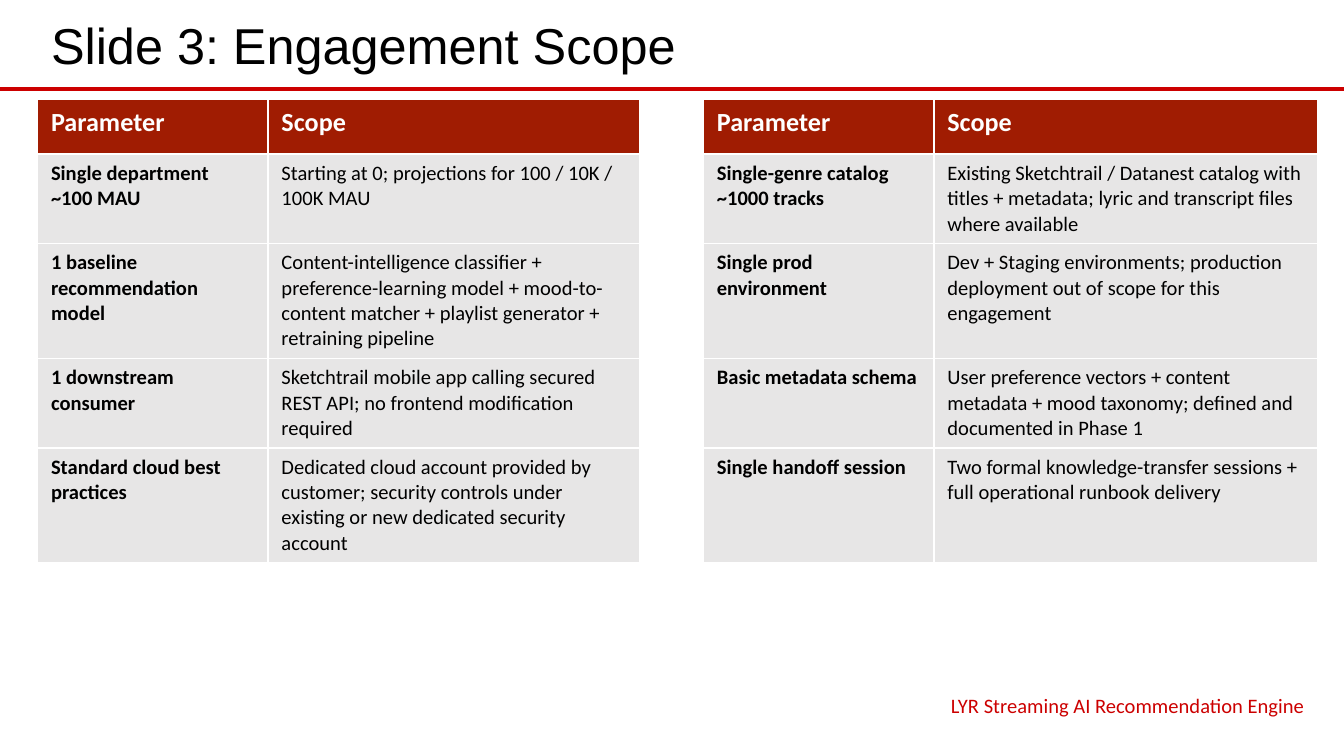
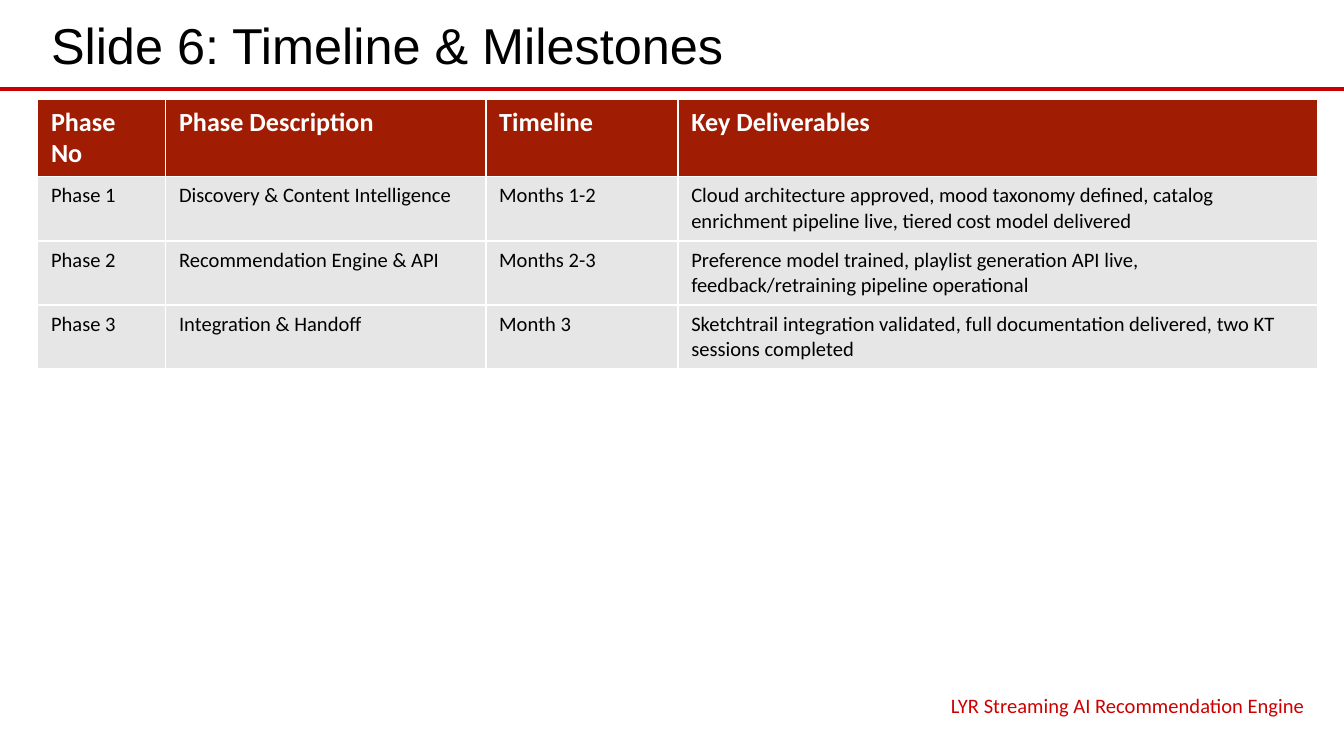
from dataclasses import dataclass

from lxml.etree import SubElement
from pptx import Presentation
from pptx.dml.color import RGBColor
from pptx.enum.shapes import MSO_CONNECTOR
from pptx.enum.text import MSO_ANCHOR, MSO_AUTO_SIZE, PP_ALIGN
from pptx.oxml.ns import qn
from pptx.presentation import Presentation as Deck
from pptx.shapes.placeholder import SlidePlaceholder
from pptx.slide import Slide
from pptx.table import _Cell
from pptx.util import Cm, Pt

RED = RGBColor(0xCC, 0x00, 0x00)
HEADER_RED = RGBColor(0xA0, 0x1C, 0x02)
GREY = RGBColor(0xE7, 0xE6, 0xE6)
WHITE = RGBColor(0xFF, 0xFF, 0xFF)
BLACK = RGBColor(0x00, 0x00, 0x00)
TITLE_FONT, BODY_FONT = "Arial", "Calibri"

SLIDE_W, SLIDE_H = Cm(25.4), Cm(14.29)
LEFT, WIDTH = Cm(0.71), Cm(24.2)
RULE_Y, TABLE_Y, ROW_H = Cm(1.68), Cm(1.88), Cm(1.03)
FOOTER_W = Cm(8.94)
FOOTER = "LYR Streaming AI Recommendation Engine"


@dataclass(frozen=True)
class TableSlide:
    """Column shares are percent of the table width; gap columns stay white."""
    title: str
    shares: tuple[int, ...]
    rows: tuple[tuple[str, ...], ...]
    bold_cols: tuple[int, ...] = ()
    gap_cols: tuple[int, ...] = ()


SLIDES = (
    TableSlide(
        "Slide 3: Engagement Scope",
        (18, 29, 5, 18, 30),
        (
            ("Parameter", "Scope", "", "Parameter", "Scope"),
            ("Single department ~100 MAU",
             "Starting at 0; projections for 100 / 10K / 100K MAU",
             "",
             "Single-genre catalog ~1000 tracks",
             "Existing Sketchtrail / Datanest catalog with titles + metadata; "
             "lyric and transcript files where available"),
            ("1 baseline recommendation model",
             "Content-intelligence classifier + preference-learning model + "
             "mood-to-content matcher + playlist generator + retraining pipeline",
             "",
             "Single prod environment",
             "Dev + Staging environments; production deployment out of scope "
             "for this engagement"),
            ("1 downstream consumer",
             "Sketchtrail mobile app calling secured REST API; no frontend "
             "modification required",
             "",
             "Basic metadata schema",
             "User preference vectors + content metadata + mood taxonomy; "
             "defined and documented in Phase 1"),
            ("Standard cloud best practices",
             "Dedicated cloud account provided by customer; security controls "
             "under existing or new dedicated security account",
             "",
             "Single handoff session",
             "Two formal knowledge-transfer sessions + full operational "
             "runbook delivery"),
        ),
        bold_cols=(0, 3),
        gap_cols=(2,),
    ),
    TableSlide(
        "Slide 6: Timeline & Milestones",
        (10, 25, 15, 50),
        (
            ("Phase No", "Phase Description", "Timeline", "Key Deliverables"),
            ("Phase 1", "Discovery & Content Intelligence", "Months 1-2",
             "Cloud architecture approved, mood taxonomy defined, catalog "
             "enrichment pipeline live, tiered cost model delivered"),
            ("Phase 2", "Recommendation Engine & API", "Months 2-3",
             "Preference model trained, playlist generation API live, "
             "feedback/retraining pipeline operational"),
            ("Phase 3", "Integration & Handoff", "Month 3",
             "Sketchtrail integration validated, full documentation delivered, "
             "two KT sessions completed"),
        ),
    ),
)


def fill_placeholder(sp: SlidePlaceholder, box: tuple[int, int, int, int], text: str,
                     font: str, size: int, color: RGBColor, align: PP_ALIGN) -> None:
    sp.left, sp.top, sp.width, sp.height = box
    tf = sp.text_frame
    tf.text = text
    tf.word_wrap = True
    tf.auto_size = MSO_AUTO_SIZE.NONE
    tf.vertical_anchor = MSO_ANCHOR.MIDDLE
    p = tf.paragraphs[0]
    p.alignment = align
    p.space_before = Pt(0)
    SubElement(p._p.get_or_add_pPr(), qn("a:buNone"))
    r = p.runs[0]
    r.font.name, r.font.size = font, Pt(size)
    r.font.color.rgb = color


def add_frame(s: Slide, title: str) -> None:
    """Add what every slide shares: title, red rule and footer."""
    rule = s.shapes.add_connector(MSO_CONNECTOR.STRAIGHT, 0, RULE_Y, SLIDE_W, RULE_Y)
    rule.line.color.rgb = RED
    rule.line.width = Pt(2.25)
    SubElement(rule._element.spPr, qn("a:effectLst"))
    fill_placeholder(s.shapes.title, (LEFT, Cm(0.1), WIDTH, Cm(1.47)),
                     title, TITLE_FONT, 27, BLACK, PP_ALIGN.LEFT)
    fill_placeholder(s.placeholders[1],
                     (LEFT + WIDTH - FOOTER_W, Cm(13), FOOTER_W, Cm(0.66)),
                     FOOTER, BODY_FONT, 11, RED, PP_ALIGN.RIGHT)


def fill_cell(cell: _Cell, text: str, fill: RGBColor, color: RGBColor,
              size: int, bold: bool) -> None:
    cell.fill.solid()
    cell.fill.fore_color.rgb = fill
    cell.text = text
    for r in cell.text_frame.paragraphs[0].runs:
        r.font.name, r.font.size, r.font.bold = BODY_FONT, Pt(size), bold
        r.font.color.rgb = color


def add_data_table(s: Slide, spec: TableSlide) -> None:
    n = len(spec.rows)
    table = s.shapes.add_table(n, len(spec.shares), LEFT, TABLE_Y,
                               WIDTH, ROW_H * n).table
    table.horz_banding = False
    for col, share in zip(table.columns, spec.shares):
        col.width = WIDTH * share // 100
    for i, row in enumerate(spec.rows):
        for j, text in enumerate(row):
            header = i == 0
            fill = HEADER_RED if header else GREY
            fill_cell(table.cell(i, j), text,
                      WHITE if j in spec.gap_cols else fill,
                      WHITE if header else BLACK,
                      14 if header else 11,
                      header or j in spec.bold_cols)


def add_table_slide(prs: Deck, spec: TableSlide) -> None:
    s = prs.slides.add_slide(prs.slide_layouts[1])
    add_frame(s, spec.title)
    add_data_table(s, spec)


def main() -> None:
    prs = Presentation()
    prs.slide_width, prs.slide_height = SLIDE_W, SLIDE_H
    for content in SLIDES:
        add_table_slide(prs, content)
    prs.save("out.pptx")


if __name__ == "__main__":
    main()
